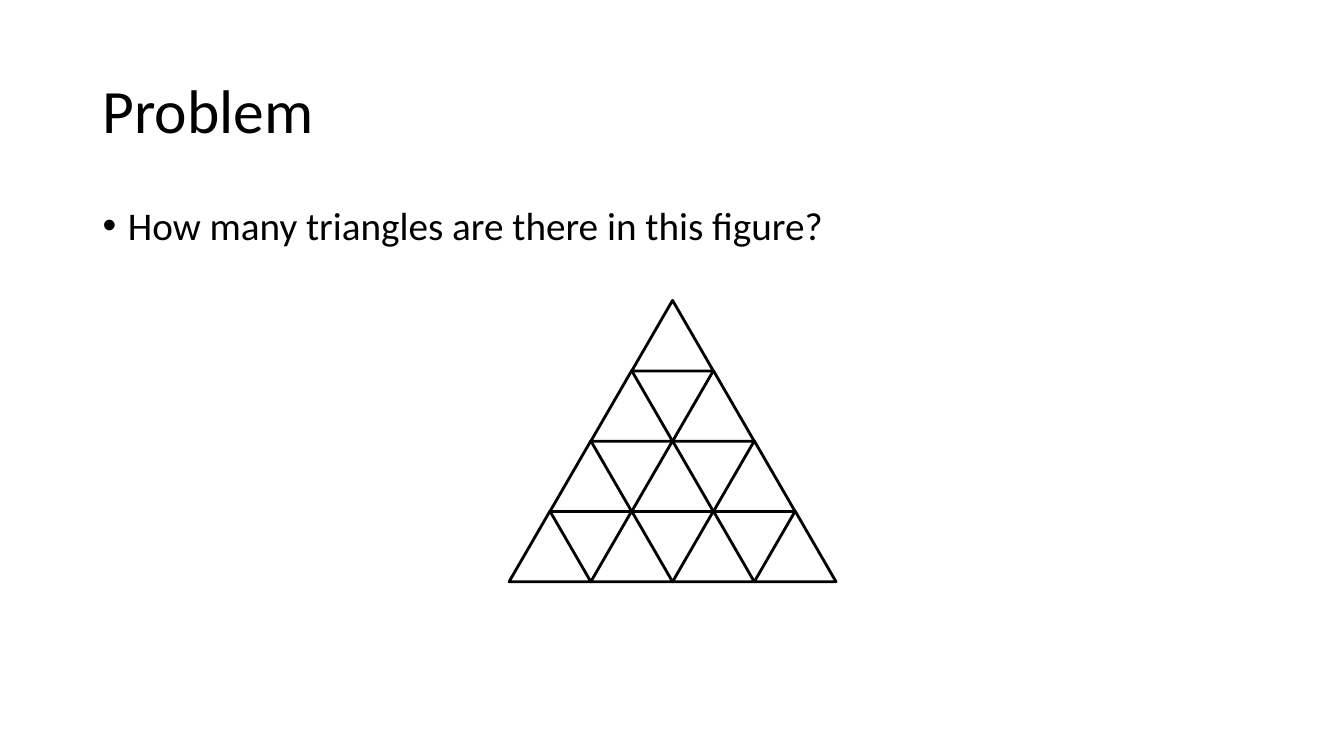
"""Build a slide that asks how many triangles a figure holds."""
from dataclasses import dataclass

import lxml.etree
import pptx
import pptx.dml.color
import pptx.enum.shapes
import pptx.enum.text
import pptx.oxml.ns
import pptx.shapes.group
import pptx.shapes.placeholder
import pptx.util
from pptx.util import Cm

COLORS = {"ink": "000000", "background": "FFFFFF"}
FONT = "Calibri"
ROWS = 4
SIDE = 2.06
HEIGHT = 1.78
ROW_STEP = 1.77
FIGURE_LEFT = 12.83
BASE_TOP = 12.88


@dataclass(frozen=True)
class Triangle:
    """Position of one small triangle in centimetres."""

    left: float
    top: float


@dataclass(frozen=True)
class Wording:
    """Text of a placeholder with its frame in centimetres."""

    text: str
    top: float
    height: float
    size: int
    anchor: pptx.enum.text.MSO_ANCHOR


PROBLEM = Wording("Problem", 1.01, 3.68, 44, pptx.enum.text.MSO_ANCHOR.MIDDLE)
QUESTION = Wording("How many triangles are there in this figure?", 5.07, 12.09, 28,
                   pptx.enum.text.MSO_ANCHOR.TOP)


def color(name: str) -> pptx.dml.color.RGBColor:
    """Look up a named colour."""
    return pptx.dml.color.RGBColor.from_string(COLORS[name])


def write(placeholder: pptx.shapes.placeholder.SlidePlaceholder, wording: Wording,
          bullet: str = "") -> None:
    """Move a placeholder and set its formatted text."""
    placeholder.left, placeholder.top = Cm(2.33), Cm(wording.top)
    placeholder.width, placeholder.height = Cm(29.21), Cm(wording.height)
    frame = placeholder.text_frame
    frame.text = wording.text
    frame.word_wrap = True
    frame.auto_size = pptx.enum.text.MSO_AUTO_SIZE.NONE
    frame.vertical_anchor = wording.anchor
    paragraph = frame.paragraphs[0]
    paragraph.alignment = pptx.enum.text.PP_ALIGN.LEFT
    paragraph.line_spacing = 0.9
    paragraph.space_before = pptx.util.Pt(0)
    if bullet:
        properties = paragraph._p.get_or_add_pPr()
        properties.set("marL", str(Cm(0.64)))
        properties.set("indent", str(Cm(-0.64)))
        qualified = pptx.oxml.ns.qn
        lxml.etree.SubElement(properties, qualified("a:buFont"), typeface="Arial")
        lxml.etree.SubElement(properties, qualified("a:buChar"), char=bullet)
    paragraph.font.name = FONT
    paragraph.font.size = pptx.util.Pt(wording.size)
    paragraph.font.color.rgb = color("ink")


def draw_triangle(figure: pptx.shapes.group.GroupShape, triangle: Triangle) -> None:
    """Add one outlined triangle to the figure."""
    outline = figure.shapes.add_shape(
        pptx.enum.shapes.MSO_SHAPE.ISOSCELES_TRIANGLE,
        Cm(triangle.left), Cm(triangle.top), Cm(SIDE), Cm(HEIGHT))
    outline.shadow.inherit = False
    outline.fill.background()
    outline.line.color.rgb = color("ink")
    outline.line.width = pptx.util.Pt(2)


def main() -> None:
    """Build and save the slide."""
    presentation = pptx.Presentation()
    presentation.slide_width, presentation.slide_height = Cm(33.87), Cm(19.05)
    slide = presentation.slides.add_slide(presentation.slide_layouts[1])
    slide.background.fill.solid()
    slide.background.fill.fore_color.rgb = color("background")
    write(slide.shapes.title, PROBLEM)
    write(slide.placeholders[1], QUESTION, bullet="•")

    figure = slide.shapes.add_group_shape()
    triangles = [
        Triangle(FIGURE_LEFT + (column + row / 2) * SIDE, BASE_TOP - row * ROW_STEP)
        for row in range(ROWS)
        for column in range(ROWS - row)
    ]
    for triangle in triangles:
        draw_triangle(figure, triangle)
    presentation.save("out.pptx")


if __name__ == "__main__":
    main()
